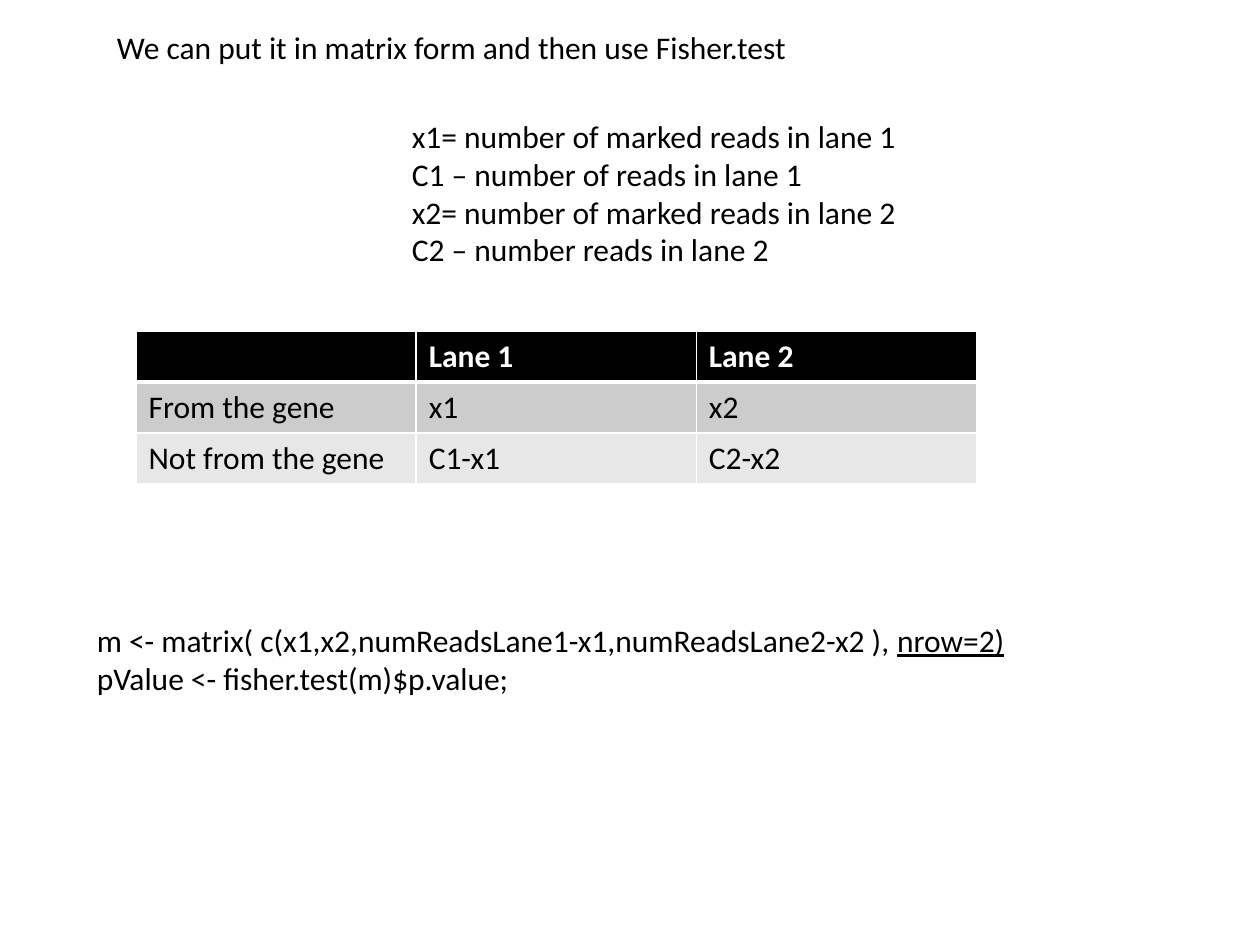
from lxml import etree
from pptx import Presentation
from pptx.dml.color import RGBColor
from pptx.enum.text import MSO_AUTO_SIZE
from pptx.oxml.ns import qn
from pptx.util import Inches, Pt

FIT_SHAPE = MSO_AUTO_SIZE.SHAPE_TO_FIT_TEXT
COLORS = {"text": "000000", "header": "000000", "header_text": "FFFFFF",
          "border": "FFFFFF", "gene_row": "CCCCCC", "other_row": "E7E7E7"}


def add_run(paragraph, text, color="text", **extra):
    run = paragraph.add_run()
    run.text = text
    run.font.color.rgb = RGBColor.from_string(COLORS[color])
    for name, value in {"name": "Calibri", "size": Pt(18), **extra}.items():
        setattr(run.font, name, value)


def add_border(cell, side, width):
    line = etree.SubElement(cell._tc.get_or_add_tcPr(), qn(f"a:ln{side}"), w=str(Pt(width)))
    fill = etree.SubElement(line, qn("a:solidFill"))
    etree.SubElement(fill, qn("a:srgbClr"), val=COLORS["border"])


prs = Presentation()
prs.slide_width, prs.slide_height = Inches(10), Inches(7.5)
slide = prs.slides.add_slide(prs.slide_layouts[6])

definitions = ["x1= number of marked reads in lane 1", "C1 – number of reads in lane 1",
               "x2= number of marked reads in lane 2", "C2 – number reads in lane 2"]
r_code = ["m <- matrix( c(x1,x2,numReadsLane1-x1,numReadsLane2-x2 ), |nrow=2)",
          "pValue <- fisher.test(m)$p.value;"]
intro = ["We can put it in matrix form and then use Fisher.test"]

text_blocks = [
    (intro, (0.83, 0.17, 5.58, 0.4), False),
    (definitions, (3.17, 0.88, 4.09, 1.62), False),
    (r_code, (0.67, 4.88, 7.83, 0.71), True),
]
for lines, place, wrap in text_blocks:
    frame = slide.shapes.add_textbox(*map(Inches, place)).text_frame
    frame.word_wrap = wrap
    frame.auto_size = FIT_SHAPE
    for index, line in enumerate(lines):
        paragraph = frame.paragraphs[0] if index == 0 else frame.add_paragraph()
        plain, _, underlined = line.partition("|")
        add_run(paragraph, plain)
        if underlined:
            add_run(paragraph, underlined, underline=True)

counts = [
    ("header", "header_text", ["", "Lane 1", "Lane 2"]),
    ("gene_row", "text", ["From the gene", "x1", "x2"]),
    ("other_row", "text", ["Not from the gene", "C1-x1", "C2-x2"]),
]
place = map(Inches, (1.08, 2.63, 6.67, 1.21))
lane_table = slide.shapes.add_table(len(counts), 3, *place).table
for row, (fill, color, values) in enumerate(counts):
    for column, value in enumerate(values):
        cell = lane_table.cell(row, column)
        widths = {"L": 1, "R": 1, "T": 3 if row == 1 else 1, "B": 3 if row == 0 else 1}
        for side, width in widths.items():
            add_border(cell, side, width)
        cell.fill.solid()
        cell.fill.fore_color.rgb = RGBColor.from_string(COLORS[fill])
        if value:
            add_run(cell.text_frame.paragraphs[0], value, color, bold=row == 0)

prs.save("out.pptx")
